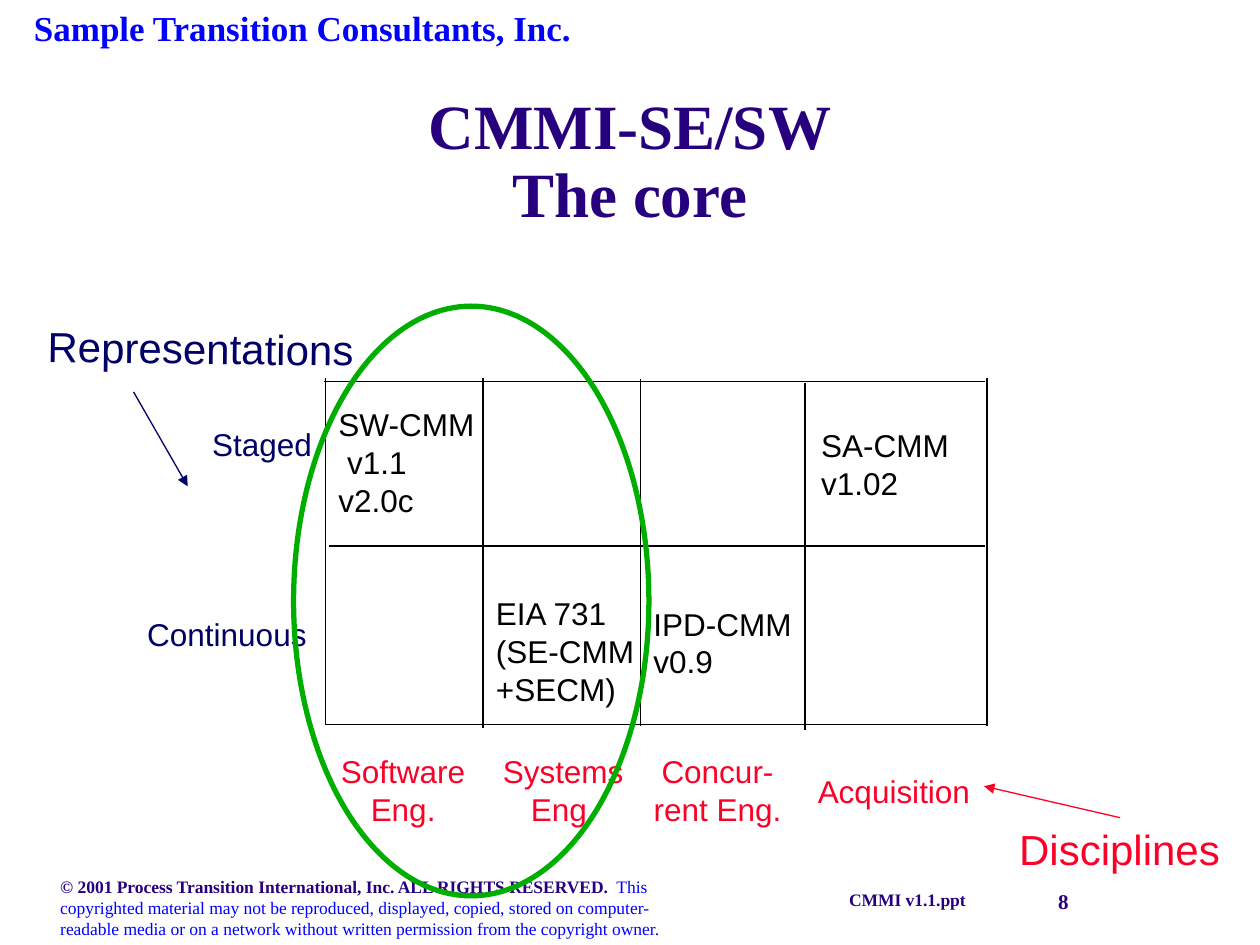
from pptx import Presentation, util as u
from pptx.dml.color import RGBColor
from pptx.enum import shapes, text
from pptx.oxml.ns import qn
from lxml import etree

# Theme: font, size, bold, colour
THEME = {
    "head": ("Times New Roman", 20, True, "0000FF"),
    "title": ("Times New Roman", 36, True, "27017D"),
    "page": ("Times New Roman", 12, True, "27017D"),
    "foot": ("Times New Roman", 10, True, "27017D"),
    "legal": ("Times New Roman", 10, False, "0000FF"),
    "axis": ("Arial", 24, False, "000066"),
    "row": ("Arial", 18, False, "000066"),
    "group": ("Arial", 24, False, "FC0128"),
    "col": ("Arial", 18, False, "FC0128"),
    "cell": ("Arial", 18, False, "000000"),
    "ring": "00AE00",
}
MID = text.PP_ALIGN.CENTER

deck = Presentation()
deck.slide_width, deck.slide_height = u.Inches(10), u.Inches(7.5)
slide = deck.slides.add_slide(deck.slide_layouts[6])

# Page grid: 100 columns by 75 rows
UNIT = deck.slide_width / 100


def put(box, paras, wrap=False, **form):
    """Add a text box; each paragraph is a list of (words, style) runs."""
    shape = slide.shapes.add_textbox(*(round(n * UNIT) for n in box))
    frame = shape.text_frame
    frame.word_wrap = wrap
    frame.auto_size = text.MSO_AUTO_SIZE.SHAPE_TO_FIT_TEXT
    for i, runs in enumerate(paras):
        para = frame.add_paragraph() if i else frame.paragraphs[0]
        for key, val in form.items():
            setattr(para, key, val)
        for words, style in runs:
            name, size, bold, tint = THEME[style]
            for j, part in enumerate(words.split("\n")):
                if j:
                    para.add_line_break()
                run = para.add_run()
                run.text = part
                look = {"name": name, "size": u.Pt(size), "bold": bold}
                for key, val in look.items():
                    setattr(run.font, key, val)
                run.font.color.rgb = RGBColor.from_string(tint)
    return shape


def rule(x1, y1, x2, y2, tint, arrow=False):
    """Add a thin straight line, with an arrowhead at its end if asked."""
    line = slide.shapes.add_connector(
        shapes.MSO_CONNECTOR.STRAIGHT, *(round(n * UNIT) for n in (x1, y1, x2, y2)))
    line.line.width = u.Pt(0.75)
    line.line.color.rgb = RGBColor.from_string(tint)
    if arrow:
        etree.SubElement(line.line._get_or_add_ln(), qn("a:tailEnd"), type="triangle")
    etree.SubElement(line._element.spPr, qn("a:effectLst"))


# Header and footer
put((1.7, 0, 47.5, 4.3), [[("Sample Transition Consultants, Inc.", "head")]], True)
put((83, 70, 9.5, 3), [[("8", "page")]])
put((3.8, 69, 50, 6), [[
    ("© 2001 Process Transition International, Inc. ALL RIGHTS RESERVED.  ", "foot"),
    ("This copyrighted material may not be reproduced, displayed, copied, stored on "
     "computer-readable media or on a network without written permission from the "
     "copyright owner.", "legal")]], True)
put((66.4, 70.1, 12, 2.6), [[("CMMI v1.1.ppt", "foot")]])

# Title
title = put((10.8, 6.7, 78.4, 12.5), [[("CMMI-SE/SW\nThe core", "title")]], True,
            alignment=MID, line_spacing=0.9)
title.text_frame.auto_size = text.MSO_AUTO_SIZE.NONE
title.text_frame.vertical_anchor = text.MSO_ANCHOR.MIDDLE

# Axis names with their arrows
put((2.8, 25.1, 26.5, 5), [[("Representations", "axis")]]).rotation = 0.7
rule(10.6, 31.1, 14.9, 38.6, THEME["axis"][3], True)
put((79.9, 64.9, 18.3, 5), [[("Disciplines", "group")]])
rule(88.9, 64.9, 78.1, 62.4, THEME["group"][3], True)

# Matrix edges
COLS = [25.83, 38.33, 50.83, 63.89, 78.33]
ROWS = [30.28, 43.33, 57.5]

# Column names: centre, middle and width of each box
for name, x, y, w in [
    ("Software|Eng.", 32, 62.7, 13),
    ("Systems|Eng.", 44.7, 62.7, 13),
    ("Concur-|rent Eng.", 56.95, 62.7, 13),
    ("Acquisition", 70.95, 62.8, 15),
]:
    lines = name.split("|")
    h = 1 + 3 * len(lines)
    put((x - w / 2, y - h / 2, w, h), [[(s, "col")] for s in lines], alignment=MID)

# Row names
put((15.85, ROWS[0] + 3, 10.5, 4), [[("Staged", "row")]])
put((10.7, ROWS[1] + 5, 15.1, 4), [[("Continuous", "row")]], True)

# Cell entries: column, inset, top, height, paragraphs
for col, gap, y, h, words in [
    (0, 0.05, 31.65, 10, "SW-CMM| v1.1|v2.0c"),
    (1, 0.05, 46.65, 10, "EIA 731|(SE-CMM|+SECM)"),
    (2, 0.05, 47.5, 7, "IPD-CMM|v0.9"),
    (3, 0.3, 33.3, 7, "SA-CMM\nv1.02"),
]:
    put((COLS[col] + gap, y, 14, h), [[(s, "cell")] for s in words.split("|")])

# Matrix lines, with their slight overshoots
ink = THEME["cell"][3]
ends = [(30, 57.5), (30, 57.8), (30.1, 57.6), (30.4, 57.9), (30, 57.6)]
for x, (top, base) in zip(COLS, ends):
    rule(x, top, x, base, ink)
for y, left, right in zip(ROWS, (25.7, 26.1, 25.8), (78.2, 78.2, 78.3)):
    rule(left, y, right, y, ink)

# Ring around the core disciplines
ring = slide.shapes.add_shape(
    shapes.MSO_SHAPE.OVAL, *(round(n * UNIT) for n in (23.3, 24.3, 28.2, 46.8)))
ring.shadow.inherit = False
ring.fill.background()
ring.line.width = u.Pt(3)
ring.line.color.rgb = RGBColor.from_string(THEME["ring"])

deck.save("out.pptx")
